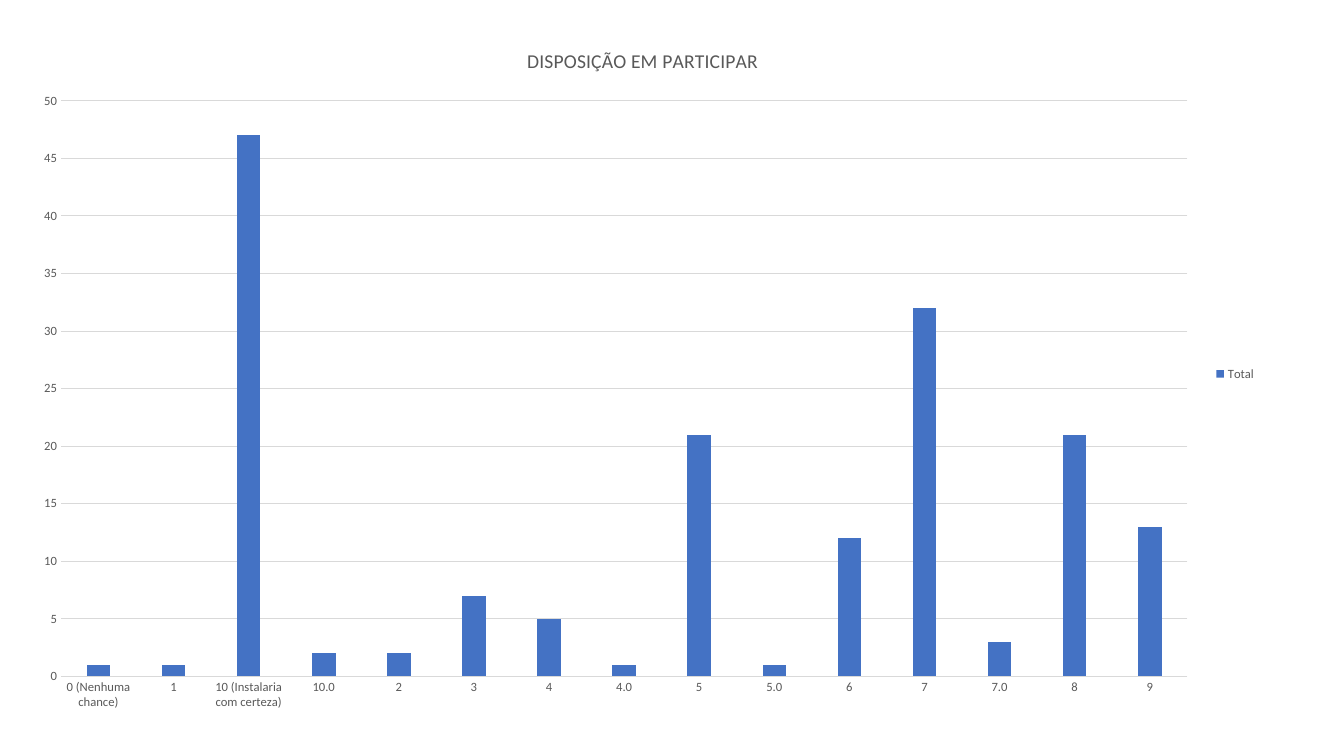
from pptx import Presentation
from pptx.chart.data import CategoryChartData
from pptx.dml.color import RGBColor
from pptx.enum.chart import XL_CHART_TYPE as ChartType, XL_LEGEND_POSITION as LegendPosition
from pptx.enum.chart import XL_TICK_MARK as TickMark
from pptx.util import Inches, Pt

COLORS = {"bar": "4472C4", "text": "595959", "line": "D9D9D9"}
FONT = "Calibri"

ANSWERS = [
    ("0 (Nenhuma chance)", 1),
    ("1", 1),
    ("10 (Instalaria com certeza)", 47),
    ("10.0", 2),
    ("2", 2),
    ("3", 7),
    ("4", 5),
    ("4.0", 1),
    ("5", 21),
    ("5.0", 1),
    ("6", 12),
    ("7", 32),
    ("7.0", 3),
    ("8", 21),
    ("9", 13),
]


def style_font(font, size=9, color="text"):
    font.name = FONT
    font.size = Pt(size)
    font.bold = False
    font.color.rgb = RGBColor.from_string(COLORS[color])


def write_text(frame, text, **font_format):
    span = frame.paragraphs[0].add_run()
    span.text = text
    style_font(span.font, **font_format)


deck = Presentation()
deck.slide_width = Inches(13.33)
deck.slide_height = Inches(7.5)
page = deck.slides.add_slide(deck.slide_layouts[6])

data = CategoryChartData()
data.categories = [answer for answer, count in ANSWERS]
data.add_series("Total", [count for answer, count in ANSWERS])
chart = page.shapes.add_chart(
    ChartType.COLUMN_CLUSTERED,
    Inches(0.19), Inches(0.24), Inches(12.37), Inches(6.94), data,
).chart
style_font(chart.font)

chart.has_title = True
write_text(chart.chart_title.text_frame, "DISPOSIÇÃO EM PARTICIPAR", size=14)
chart.chart_title.include_in_layout = False

chart.has_legend = True
chart.legend.position = LegendPosition.RIGHT
chart.legend.include_in_layout = False
style_font(chart.legend.font)

plot = chart.plots[0]
plot.gap_width = 219
plot.overlap = -27
plot.vary_by_categories = False
bars = plot.series[0]
bars.format.fill.solid()
bars.format.fill.fore_color.rgb = RGBColor.from_string(COLORS["bar"])

for axis in (chart.category_axis, chart.value_axis):
    axis.major_tick_mark = TickMark.NONE
    axis.minor_tick_mark = TickMark.NONE
    style_font(axis.tick_labels.font)

counts = chart.value_axis
counts.minimum_scale = 0
counts.maximum_scale = 50
counts.major_unit = 5
counts.format.line.fill.background()
counts.has_major_gridlines = True

for line in (chart.category_axis.format.line, counts.major_gridlines.format.line):
    line.width = Pt(0.75)
    line.color.rgb = RGBColor.from_string(COLORS["line"])

deck.save("out.pptx")
